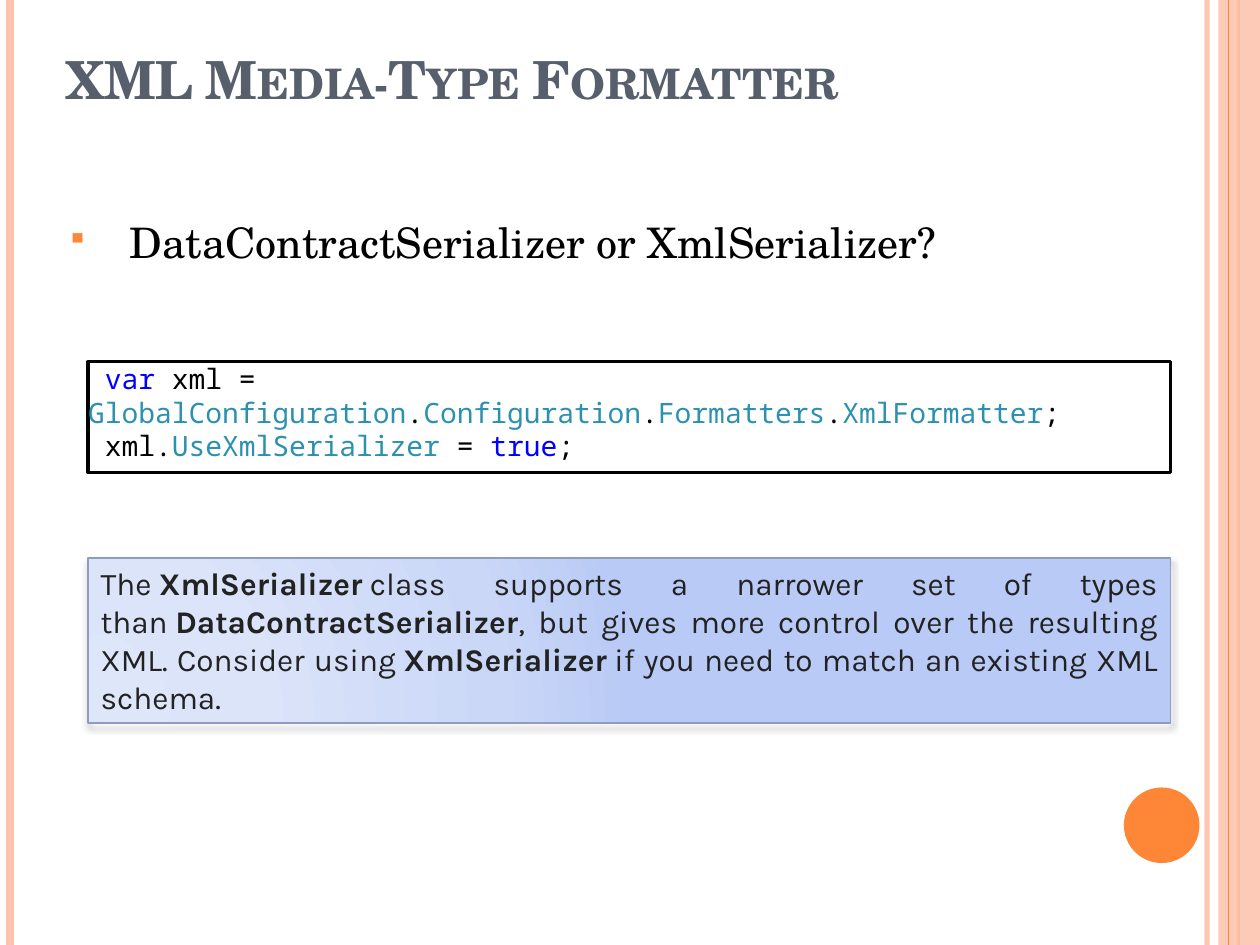
"""Build the XML media-type formatter slide."""
from lxml import etree
from pptx import Presentation
from pptx.dml.color import RGBColor
from pptx.enum import shapes, text
from pptx.oxml import parse_xml
from pptx.oxml.ns import nsdecls, qn
from pptx.util import Inches, Pt

ORANGE = RGBColor(0xFE, 0x86, 0x37)
PEACH = RGBColor(0xFE, 0xC3, 0xAE)
SLATE = RGBColor(0x57, 0x5F, 0x6D)
BLACK = RGBColor(0, 0, 0)
WHITE = RGBColor(0xFF, 0xFF, 0xFF)
KEYWORD = RGBColor(0, 0, 0xFF)
TYPE_NAME = RGBColor(0x2B, 0x91, 0xAF)
NOTE_TEXT = RGBColor(0x22, 0x22, 0x22)
NOTE_LINE = RGBColor(0x8D, 0x9C, 0xBF)
NOTE_STOPS = [(0, "DEE6FA"), (30, "DBE4F9"), (75, "CAD7F7"), (100, "B8CAF5")]

presentation = Presentation()
presentation.slide_width, presentation.slide_height = Inches(10), Inches(7.5)
slide = presentation.slides.add_slide(presentation.slide_layouts[6])


def add_box(left, top, width, height, fill, line=None, line_width=1, kind=shapes.MSO_SHAPE.RECTANGLE):
    shape = slide.shapes.add_shape(kind, *map(Inches, (left, top, width, height)))
    shape.shadow.inherit = False
    shape.fill.solid()
    shape.fill.fore_color.rgb = fill
    if line is None:
        shape.line.fill.background()
    else:
        shape.line.color.rgb = line
        shape.line.width = Pt(line_width)
    return shape


def write(shape, runs, font, size, anchor=text.MSO_ANCHOR.TOP, align=text.PP_ALIGN.LEFT):
    frame = shape.text_frame
    frame.word_wrap = True
    frame.vertical_anchor = anchor
    paragraph = frame.paragraphs[0]
    paragraph.alignment = align
    for words, color, bold in runs:
        for index, piece in enumerate(words.split("\n")):
            if index:
                paragraph.add_line_break()
            run = paragraph.add_run()
            run.text = piece
            run.font.name, run.font.size = font, Pt(size)
            run.font.bold = bold
            run.font.color.rgb = color
    return paragraph


right_band = add_box(9.67, 0, 0.33, 7.5, PEACH)
for x, color, width, alpha in [(9.58, PEACH, 3, 93), (0.08, PEACH, 4.5, 100),
                               (9.83, ORANGE, 1.5, 100), (9.75, ORANGE, 0.75, 100)]:
    rule = slide.shapes.add_connector(shapes.MSO_CONNECTOR.STRAIGHT, Inches(x), 0,
                                      Inches(x), presentation.slide_height)
    rule.line.color.rgb = color
    rule.line.width = Pt(width)
    properties = rule._element.spPr
    etree.SubElement(properties, qn("a:effectLst"))
    if alpha < 100:
        etree.SubElement(properties.find(".//" + qn("a:srgbClr")), qn("a:alpha"), val=str(alpha * 1000))
    if x == 9.83:
        slide.shapes._spTree.append(right_band._element)
etree.SubElement(right_band._element.spPr.find(".//" + qn("a:srgbClr")), qn("a:alpha"), val="87000")
add_box(8.92, 6.25, 0.6, 0.6, ORANGE, kind=shapes.MSO_SHAPE.OVAL)

title = slide.shapes.add_textbox(*map(Inches, (0.43, 0.25, 9.15, 0.67)))
heading = write(title, [("XML Media-Type Formatter", SLATE, True)], "TeX Gyre Schola", 30,
                anchor=text.MSO_ANCHOR.BOTTOM)
heading.runs[0].font._element.set("cap", "small")

question = slide.shapes.add_textbox(*map(Inches, (0.43, 1.75, 9.15, 0.45)))
bullet = write(question, [("DataContractSerializer or XmlSerializer?", BLACK, False)], "TeX Gyre Schola", 24)
bullet.line_spacing, bullet.space_before = 0.8, Pt(6)
bullet_properties = bullet._p.get_or_add_pPr()
bullet_properties.set("marL", str(Inches(0.5)))
bullet_properties.set("indent", str(Inches(-0.5)))
for markup in (f'<a:buClr {nsdecls("a")}><a:srgbClr val="{ORANGE}"/></a:buClr>',
               f'<a:buSzPct {nsdecls("a")} val="70000"/>',
               f'<a:buChar {nsdecls("a")} char="▪"/>'):
    bullet_properties.append(parse_xml(markup))

code_box = add_box(0.7, 2.87, 8.59, 0.88, WHITE, BLACK, 2)
frame = code_box.text_frame
frame.margin_left = frame.margin_right = frame.margin_top = 0
frame.margin_bottom = Inches(0.08)
code = [(" var", KEYWORD), (" xml = ", BLACK), ("GlobalConfiguration", TYPE_NAME), (".", BLACK),
        ("Configuration", TYPE_NAME), (".", BLACK), ("Formatters", TYPE_NAME), (".", BLACK),
        ("XmlFormatter", TYPE_NAME), ("; \n xml.", BLACK), ("UseXmlSerializer", TYPE_NAME),
        (" = ", BLACK), ("true", KEYWORD), ("; ", BLACK)]
write(code_box, [(words, color, False) for words, color in code], "Noto Sans Mono", 16,
      anchor=text.MSO_ANCHOR.MIDDLE)

note = add_box(0.7, 4.43, 8.59, 1.31, WHITE, NOTE_LINE)
properties = note._element.spPr
stops = "".join(f'<a:gs pos="{share * 1000}"><a:srgbClr val="{color}"/></a:gs>' for share, color in NOTE_STOPS)
properties.replace(properties.find(qn("a:solidFill")), parse_xml(
    f'<a:gradFill {nsdecls("a")} rotWithShape="1"><a:gsLst>{stops}</a:gsLst><a:path path="circle">'
    '<a:fillToRect l="5000" t="100000" r="120000" b="10000"/></a:path></a:gradFill>'))
properties.find(qn("a:effectLst")).append(parse_xml(
    f'<a:outerShdw {nsdecls("a")} blurRad="{Pt(4)}" dist="{Pt(2)}" dir="5400000" rotWithShape="0">'
    '<a:srgbClr val="000000"><a:alpha val="40000"/></a:srgbClr></a:outerShdw>'))
sentences = ["The\u00a0", "XmlSerializer", "\u00a0class supports a narrower set of types than\u00a0",
             "DataContractSerializer", ", but gives more control over the resulting XML. Consider using\u00a0",
             "XmlSerializer", "\u00a0if you need to match an existing XML schema."]
write(note, [(words, NOTE_TEXT, index % 2 == 1) for index, words in enumerate(sentences)], "Karla", 18,
      align=text.PP_ALIGN.JUSTIFY)

presentation.save("out.pptx")
